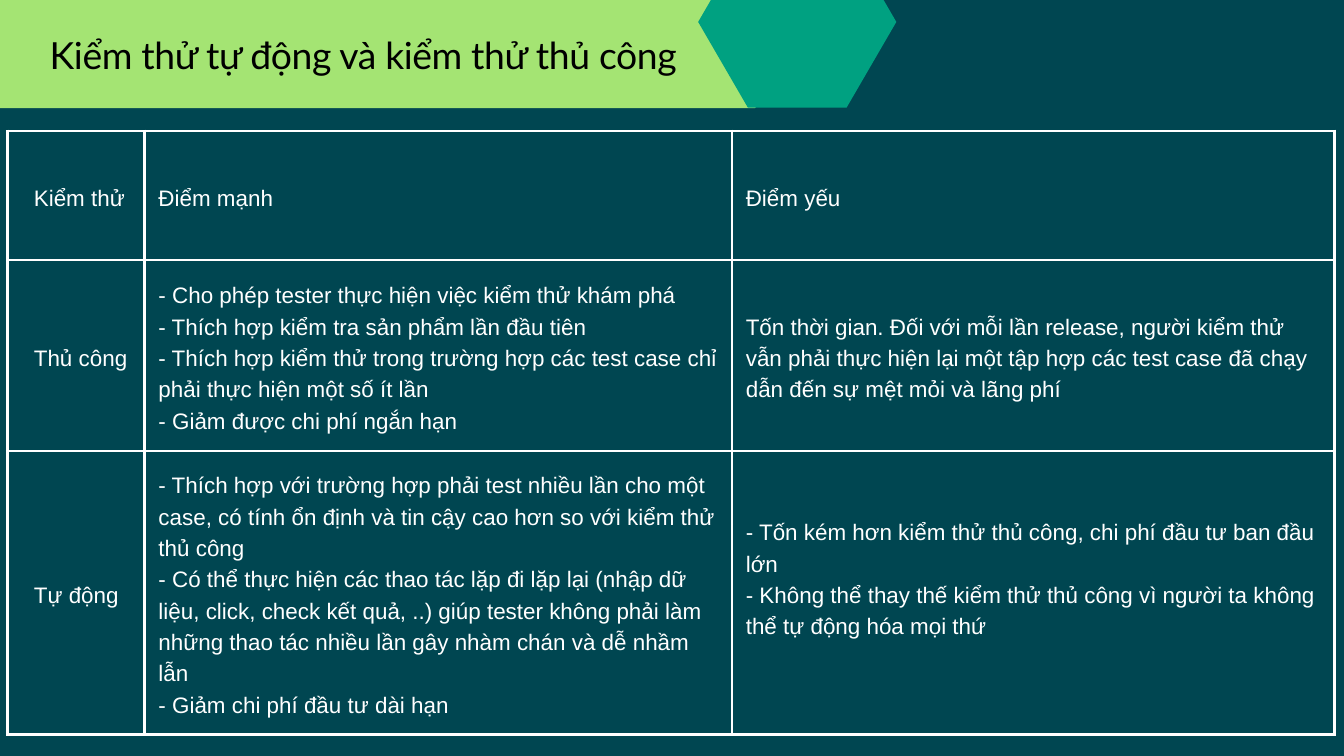
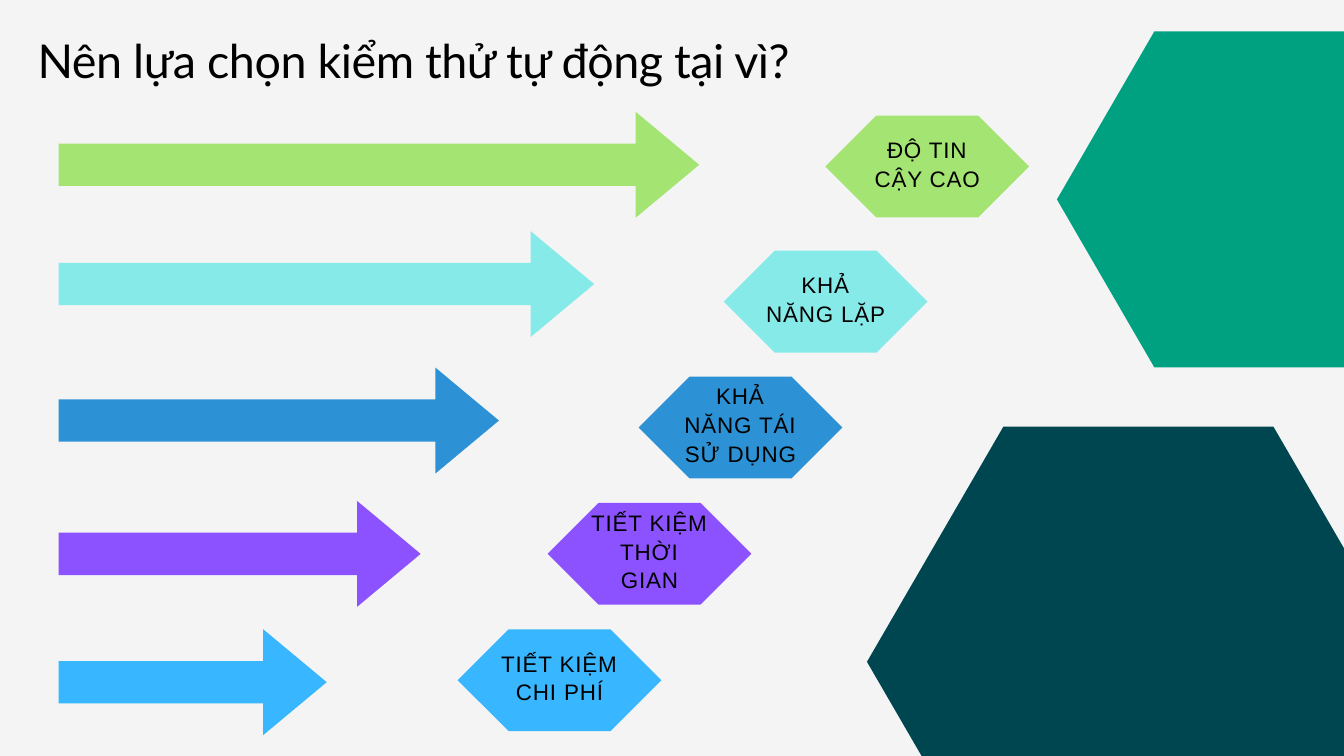
"""Build two slides that compare manual and automated software testing."""
from lxml import etree
from pptx import Presentation
from pptx import util as u
from pptx.dml.color import RGBColor
from pptx.enum import shapes, text
from pptx.oxml import ns

DARK_TEAL = RGBColor(0x00, 0x46, 0x51)
GREEN = RGBColor(0x00, 0xA1, 0x81)
LIME = RGBColor(0xA4, 0xE4, 0x73)
AQUA = RGBColor(0x86, 0xEA, 0xE9)
BLUE = RGBColor(0x2C, 0x92, 0xD5)
VIOLET = RGBColor(0x8C, 0x52, 0xFF)
SKY = RGBColor(0x38, 0xB6, 0xFF)
PALE_GREY = RGBColor(0xF4, 0xF4, 0xF4)
WHITE = RGBColor(0xFF, 0xFF, 0xFF)
BLACK = RGBColor(0x00, 0x00, 0x00)

TITLE_FONT = "Lato"
BODY_FONT = "Arial"
BODY_SIZE = 24
REGULAR_HEXAGON = 0.29
POINTED_HEXAGON = 0.5
ARROW_SHAFT, ARROW_HEAD = 0.4, 0.6

COMPARISON_TITLE = "Kiểm thử tự động và kiểm thử thủ công"
COMPARISON = [
    (["Kiểm thử"], ["Điểm mạnh"], ["Điểm yếu"]),
    (
        ["Thủ công"],
        [
            "- Cho phép tester thực hiện việc kiểm thử khám phá",
            "- Thích hợp kiểm tra sản phẩm lần đầu tiên",
            "- Thích hợp kiểm thử trong trường hợp các test case chỉ phải thực hiện một số ít lần",
            "- Giảm được chi phí ngắn hạn",
        ],
        [
            "Tốn thời gian. Đối với mỗi lần release, người kiểm thử vẫn phải thực hiện lại "
            "một tập hợp các test case đã chạy dẫn đến sự mệt mỏi và lãng phí",
        ],
    ),
    (
        ["Tự động"],
        [
            "- Thích hợp với trường hợp phải test nhiều lần cho một case, có tính ổn định "
            "và tin cậy cao hơn so với kiểm thử thủ công",
            "- Có thể thực hiện các thao tác lặp đi lặp lại (nhập dữ liệu, click, check kết quả, ..) "
            "giúp tester không phải làm những thao tác nhiều lần gây nhàm chán và dễ nhầm lẫn",
            "- Giảm chi phí đầu tư dài hạn",
        ],
        [
            "- Tốn kém hơn kiểm thử thủ công, chi phí đầu tư ban đầu lớn",
            "- Không thể thay thế kiểm thử thủ công vì người ta không thể tự động hóa mọi thứ",
        ],
    ),
]
COLUMN_WIDTHS = (5.18, 22.2, 22.78)
ROW_HEIGHTS = (4.88, 7.21, 10.72)
CELL_MARGIN = 0.53
KIND_INDENT = 0.47
LAST_CELL_LIFT = 1.19

REASONS_TITLE = "Nên lựa chọn kiểm thử tự động tại vì?"
# reason, colour, (label left, label top), (arrow top, arrow width)
REASONS = [
    ("ĐỘ TIN CẬY CAO", LIME, (31.2, 4.37), (4.23, 24.21)),
    ("KHẢ NĂNG LẶP", AQUA, (27.36, 9.48), (8.74, 20.24)),
    ("KHẢ NĂNG TÁI SỬ DỤNG", BLUE, (24.14, 14.24), (13.9, 16.64)),
    ("TIẾT KIỆM THỜI GIAN", VIOLET, (20.7, 19.01), (18.94, 13.68)),
    ("TIẾT KIỆM CHI PHÍ", SKY, (17.3, 23.79), (23.79, 10.13)),
]
ARROW_LEFT, ARROW_HEIGHT = 2.22, 4
LABEL_WIDTH, LABEL_HEIGHT = 7.7, 3.85
CAPTION_WIDTH, CAPTION_HEIGHT, CAPTION_LIFT = 4.83, 4.11, 0.27


def box(*lengths):
    return [u.Cm(length) for length in lengths]


def add_slide(deck, colour):
    slide = deck.slides.add_slide(deck.slide_layouts[6])
    slide.background.fill.solid()
    slide.background.fill.fore_color.rgb = colour
    return slide


def add_figure(slide, preset, place, colour, *adjustments):
    figure = slide.shapes.add_shape(preset, *box(*place))
    figure.shadow.inherit = False
    figure.fill.solid()
    figure.fill.fore_color.rgb = colour
    figure.line.fill.background()
    for index, value in enumerate(adjustments):
        figure.adjustments[index] = value


def write(frame, lines, font, size, colour, leading, align=text.PP_ALIGN.LEFT, tracking=0):
    for index, line in enumerate(lines):
        paragraph = frame.add_paragraph() if index else frame.paragraphs[0]
        paragraph.alignment = align
        paragraph.line_spacing = u.Pt(leading)
        run = paragraph.add_run()
        run.text = line
        run.font.name = font
        run.font.size = u.Pt(size)
        run.font.color.rgb = colour
        if tracking:
            run.font._element.set("spc", str(round(tracking * 100)))


def add_text(slide, place, margin, anchor, *style, **options):
    frame = slide.shapes.add_textbox(*box(*place)).text_frame
    frame.word_wrap = True
    frame.vertical_anchor = anchor
    frame.margin_left = frame.margin_right = u.Cm(margin)
    frame.margin_top = frame.margin_bottom = u.Cm(margin)
    write(frame, *style, **options)


def add_title(slide, place, title, size, leading, align):
    add_text(slide, place, 0, text.MSO_ANCHOR.TOP, [title], TITLE_FONT, size, BLACK,
             leading, align=align, tracking=-size / 100)


def outline(cell, colour, points):
    properties = cell._tc.get_or_add_tcPr()
    for index, side in enumerate(("lnL", "lnR", "lnT", "lnB")):
        line = etree.Element(ns.qn(f"a:{side}"), w=str(u.Pt(points)))
        fill = etree.SubElement(line, ns.qn("a:solidFill"))
        etree.SubElement(fill, ns.qn("a:srgbClr"), val=str(colour))
        properties.insert(index, line)


def build_comparison(deck):
    slide = add_slide(deck, DARK_TEAL)
    hexagon = shapes.MSO_SHAPE.HEXAGON
    add_figure(slide, hexagon, (-8.1, -10.21, 40.79, 14.3), LIME, REGULAR_HEXAGON)
    add_figure(slide, hexagon, (26.39, -2.41, 7.49, 6.48), GREEN, REGULAR_HEXAGON)

    place = box(0.28, 4.95, sum(COLUMN_WIDTHS), sum(ROW_HEIGHTS))
    table = slide.shapes.add_table(len(ROW_HEIGHTS), len(COLUMN_WIDTHS), *place).table
    table.first_row = table.horz_banding = False
    for column, width in zip(table.columns, COLUMN_WIDTHS):
        column.width = u.Cm(width)
    for row, height, contents in zip(table.rows, ROW_HEIGHTS, COMPARISON):
        row.height = u.Cm(height)
        for cell, lines in zip(row.cells, contents):
            cell.fill.solid()
            cell.fill.fore_color.rgb = DARK_TEAL
            cell.vertical_anchor = text.MSO_ANCHOR.MIDDLE
            cell.margin_left = cell.margin_right = u.Cm(CELL_MARGIN)
            cell.margin_top = cell.margin_bottom = u.Cm(CELL_MARGIN)
            write(cell.text_frame, lines, BODY_FONT, BODY_SIZE, WHITE, 33.6)
            outline(cell, WHITE, 3)
        row.cells[0].margin_left = u.Cm(CELL_MARGIN + KIND_INDENT)
    table.cell(2, 2).margin_bottom = u.Cm(CELL_MARGIN + LAST_CELL_LIFT)

    add_title(slide, (-0.86, 1.07, 29.18, 1.78), COMPARISON_TITLE, 40, 52,
              text.PP_ALIGN.CENTER)


def build_reasons(deck):
    slide = add_slide(deck, PALE_GREY)
    hexagon, arrow = shapes.MSO_SHAPE.HEXAGON, shapes.MSO_SHAPE.RIGHT_ARROW
    add_figure(slide, hexagon, (32.77, 16.13, 20.52, 17.78), DARK_TEAL, REGULAR_HEXAGON)
    add_figure(slide, hexagon, (39.95, 1.19, 14.66, 12.7), GREEN, REGULAR_HEXAGON)
    add_title(slide, (1.42, 1.19, 38.53, 2.11), REASONS_TITLE, 50, 60, text.PP_ALIGN.LEFT)

    for reason, colour, (left, top), (arrow_top, arrow_width) in REASONS:
        add_figure(slide, arrow, (ARROW_LEFT, arrow_top, arrow_width, ARROW_HEIGHT), colour,
                   ARROW_SHAFT, ARROW_HEAD)
        add_figure(slide, hexagon, (left, top, LABEL_WIDTH, LABEL_HEIGHT), colour,
                   POINTED_HEXAGON)
        caption_left = left + (LABEL_WIDTH - CAPTION_WIDTH) / 2
        caption = (caption_left, top - CAPTION_LIFT, CAPTION_WIDTH, CAPTION_HEIGHT)
        add_text(slide, caption, 0.15, text.MSO_ANCHOR.MIDDLE, [reason], BODY_FONT, BODY_SIZE,
                 BLACK, 31, align=text.PP_ALIGN.CENTER, tracking=0.9)


def main():
    deck = Presentation()
    deck.slide_width, deck.slide_height = box(50.8, 28.58)
    build_comparison(deck)
    build_reasons(deck)
    deck.save("out.pptx")


if __name__ == "__main__":
    main()
